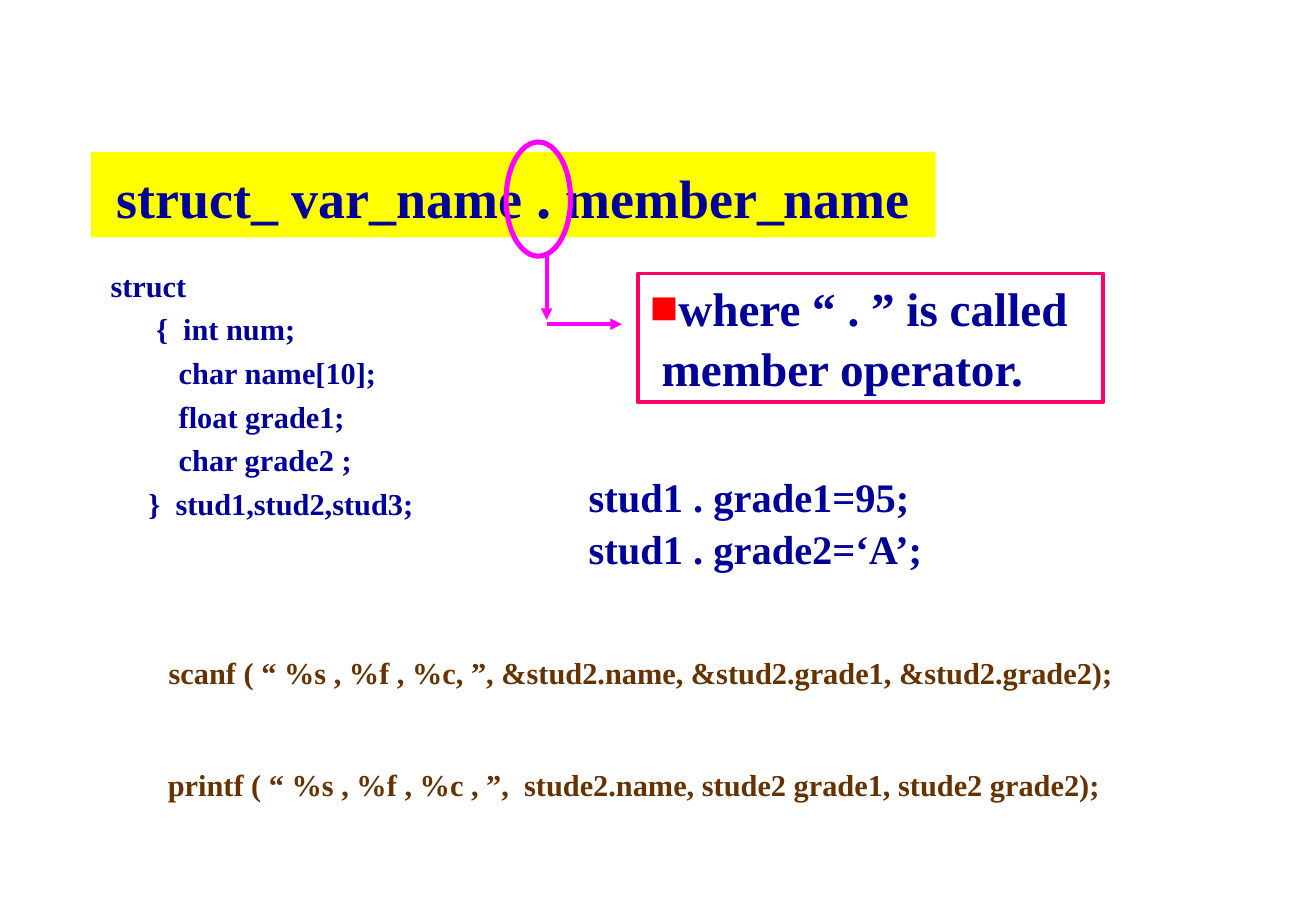
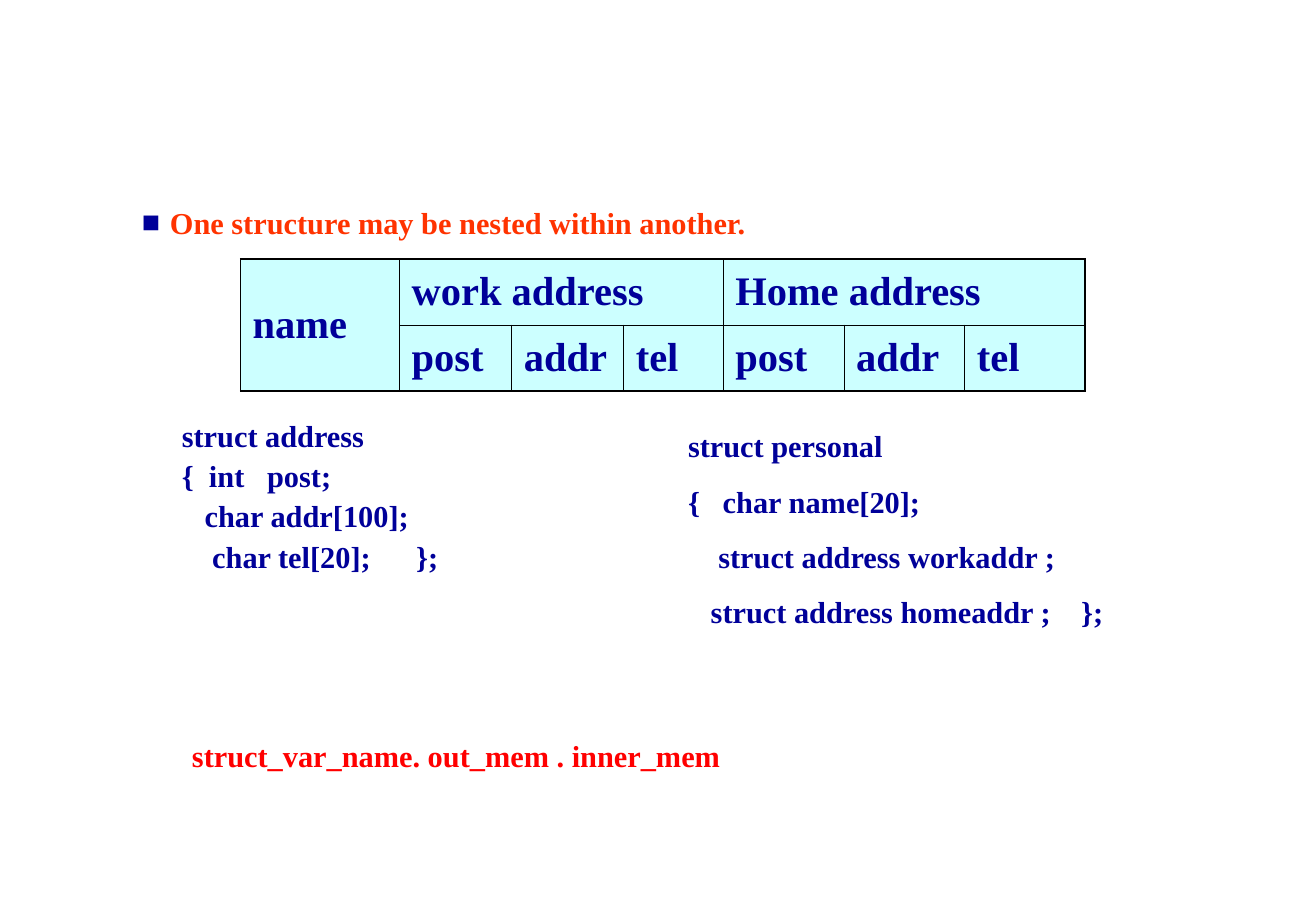
from dataclasses import dataclass

from lxml.etree import SubElement
from pptx import Presentation
from pptx.dml.color import RGBColor
from pptx.enum.shapes import MSO_CONNECTOR, MSO_SHAPE
from pptx.enum.text import MSO_ANCHOR, MSO_AUTO_SIZE, PP_ALIGN
from pptx.oxml.ns import qn
from pptx.util import Pt

FONT = "Times New Roman"
NAVY, BROWN, RED, ORANGE = "000099", "663300", "FF0000", "FF3300"
YELLOW, MAGENTA, PINK = "FFFF00", "FF00FF", "FF0066"
CYAN, BLACK = "CCFFFF", "000000"
TITLE_ONLY = 5


@dataclass
class Box:
    left: float
    top: float
    width: float
    height: float

    def lengths(self) -> tuple:
        return Pt(self.left), Pt(self.top), Pt(self.width), Pt(self.height)


@dataclass
class TextStyle:
    size: float = 18
    colour: str = NAVY
    align: PP_ALIGN = PP_ALIGN.LEFT
    before: float = 0
    line: float = 1.0


@dataclass
class TextBlock:
    box: Box
    lines: list[str]
    style: TextStyle


@dataclass
class TableLabel:
    text: str
    row: int
    column: int
    rows: int = 1
    columns: int = 1


@dataclass
class Arrow:
    start: tuple[float, float]
    end: tuple[float, float]


def rgb(colour: str) -> RGBColor:
    return RGBColor.from_string(colour)


def format_runs(paragraph, style: TextStyle) -> None:
    for run in paragraph.runs:
        run.font.name = FONT
        run.font.size = Pt(style.size)
        run.font.bold = True
        run.font.color.rgb = rgb(style.colour)


def write_lines(frame, lines: list[str], style: TextStyle) -> None:
    frame.word_wrap = True
    frame.auto_size = MSO_AUTO_SIZE.NONE
    frame.vertical_anchor = MSO_ANCHOR.TOP
    for index, line in enumerate(lines):
        paragraph = frame.add_paragraph() if index else frame.paragraphs[0]
        paragraph.text = line
        paragraph.alignment = style.align
        paragraph.line_spacing = style.line
        if index:
            paragraph.space_before = Pt(style.before)
        format_runs(paragraph, style)


def set_indent(paragraph, margin: float, first: float = 0):
    properties = paragraph._p.get_or_add_pPr()
    properties.set("marL", str(Pt(margin)))
    properties.set("indent", str(Pt(first)))
    return properties


def add_bullet(paragraph, colour: str, hang: float) -> None:
    properties = set_indent(paragraph, hang, -hang)
    colour_node = SubElement(properties, qn("a:buClr"))
    SubElement(colour_node, qn("a:srgbClr")).set("val", colour)
    SubElement(properties, qn("a:buFont")).set("typeface", FONT)
    SubElement(properties, qn("a:buChar")).set("char", "■")


def add_text(slide, block: TextBlock) -> None:
    text_box = slide.shapes.add_textbox(*block.box.lengths())
    write_lines(text_box.text_frame, block.lines, block.style)


def set_title(slide, block: TextBlock):
    title = slide.shapes.title
    title.left, title.top, title.width, title.height = block.box.lengths()
    write_lines(title.text_frame, block.lines, block.style)
    return title


def add_outline(slide, kind: MSO_SHAPE, box: Box, colour: str, width: float):
    outline = slide.shapes.add_shape(kind, *box.lengths())
    outline.shadow.inherit = False
    outline.fill.background()
    outline.line.color.rgb = rgb(colour)
    outline.line.width = Pt(width)
    return outline


def add_arrow(slide, arrow: Arrow) -> None:
    connector = slide.shapes.add_connector(
        MSO_CONNECTOR.STRAIGHT, *(Pt(value) for value in arrow.start + arrow.end))
    connector.line.color.rgb = rgb(MAGENTA)
    connector.line.width = Pt(2.25)
    line = connector._element.spPr.find(qn("a:ln"))
    SubElement(line, qn("a:tailEnd")).set("type", "triangle")
    SubElement(connector._element.spPr, qn("a:effectLst"))


def set_borders(cell, widths: dict[str, float]) -> None:
    properties = cell._tc.get_or_add_tcPr()
    for index, (side, width) in enumerate(widths.items()):
        border = SubElement(properties, qn(f"a:ln{side}"), w=str(Pt(width)))
        fill = SubElement(border, qn("a:solidFill"))
        SubElement(fill, qn("a:srgbClr")).set("val", BLACK)
        properties.insert(index, border)


def border_weight(outer: bool) -> float:
    return 1.08 if outer else 0.45


def add_record_table(slide, box: Box, widths: list[float],
                     labels: list[TableLabel]) -> None:
    row_count, column_count = 2, len(widths)
    table = slide.shapes.add_table(row_count, column_count, *box.lengths()).table
    table.first_row = table.horz_banding = False
    for column, width in zip(table.columns, widths):
        column.width = Pt(width)
    for row in table.rows:
        row.height = Pt(box.height / row_count)

    # Merge and fill in the headings
    for label in labels:
        cell = table.cell(label.row, label.column)
        if label.rows * label.columns > 1:
            cell.merge(table.cell(label.row + label.rows - 1,
                                  label.column + label.columns - 1))
        cell.text_frame.text = label.text
        format_runs(cell.text_frame.paragraphs[0], TextStyle(24))

    # Heavier lines around the outside
    for row in range(row_count):
        for column in range(column_count):
            cell = table.cell(row, column)
            cell.vertical_anchor = MSO_ANCHOR.MIDDLE
            cell.fill.solid()
            cell.fill.fore_color.rgb = rgb(CYAN)
            rows, columns = ((cell.span_height, cell.span_width)
                             if cell.is_merge_origin else (1, 1))
            set_borders(cell, {
                "L": border_weight(column == 0),
                "R": border_weight(column + columns == column_count),
                "T": border_weight(row == 0),
                "B": border_weight(row + rows == row_count),
            })


def build_member_operator(slide) -> None:
    # Syntax bar with a larger dot
    title = set_title(slide, TextBlock(
        Box(54, 90, 501, 50.7), [""], TextStyle(32, align=PP_ALIGN.CENTER)))
    title.fill.solid()
    title.fill.fore_color.rgb = rgb(YELLOW)
    title.text_frame.margin_top = Pt(3.8)
    syntax = title.text_frame.paragraphs[0]
    for part in ("struct_ var_name ", ".", " member_name"):
        syntax.add_run().text = part
    format_runs(syntax, TextStyle(32))
    syntax.runs[1].font.size = Pt(36)

    # Declaration, assignments and calls
    call = TextStyle(colour=BROWN, align=PP_ALIGN.CENTER)
    for block in (
        TextBlock(Box(54, 150.3, 321, 163), [
            " struct",
            "       {  int num;",
            "          char name[10];",
            "          float grade1;",
            "          char grade2 ;",
            "      }  stud1,stud2,stud3;",
        ], TextStyle(line=1.2)),
        TextBlock(Box(342, 276.5, 318, 75),
                  ["stud1 . grade1=95;", "stud1 . grade2=‘A’;"],
                  TextStyle(24, before=1.5)),
        TextBlock(Box(60, 384.4, 640, 29), [
            "scanf ( “ %s , %f , %c, ”, &stud2.name, &stud2.grade1, &stud2.grade2);",
        ], call),
        TextBlock(Box(54, 450.4, 644, 29), [
            "printf ( “ %s , %f , %c , ”,  stude2.name, stude2 grade1, stude2 grade2);",
        ], call),
    ):
        add_text(slide, block)

    # Explanation of the dot
    note = add_outline(slide, MSO_SHAPE.RECTANGLE,
                       Box(378.3, 162.2, 276, 76.3), PINK, 2.25)
    write_lines(note.text_frame, ["where “ . ” is called", "member operator."],
                TextStyle(28, before=1.8))
    called, operator = note.text_frame.paragraphs
    add_bullet(called, RED, 16)
    set_indent(operator, 7)

    # Ring around the dot and arrows to its explanation
    add_outline(slide, MSO_SHAPE.OVAL, Box(300.2, 84.2, 38.2, 67.7), MAGENTA, 3)
    for arrow in (Arrow((324.2, 150), (324.2, 189.6)),
                  Arrow((324.2, 192.2), (368.8, 192.2))):
        add_arrow(slide, arrow)


def build_nested_structures(slide) -> None:
    # Statement
    title = set_title(slide, TextBlock(
        Box(77, 117.4, 692, 29), ["One structure may be nested within another."],
        TextStyle(colour=ORANGE)))
    add_bullet(title.text_frame.paragraphs[0], NAVY, 16.6)

    # Record layout: each address has the same three members
    labels = [TableLabel("name", 0, 0, rows=2)]
    for column, address in ((1, "work address"), (4, "Home address")):
        labels.append(TableLabel(address, 0, column, columns=3))
        labels += [TableLabel(member, 1, column + offset)
                   for offset, member in enumerate(("post", "addr", "tel"))]
    add_record_table(slide, Box(142.7, 153.5, 500.8, 78.2),
                     [94.3, 66.5, 66.5, 59, 71.6, 71.7, 71.2], labels)

    # Declarations and access syntax
    for block in (
        TextBlock(Box(100.8, 243.8, 318, 101), [
            "struct address",
            "{  int   post;",
            "   char addr[100];",
            "    char tel[20];      };",
        ], TextStyle(before=2.2)),
        TextBlock(Box(401, 249.8, 369, 127), [
            "struct personal",
            "{   char name[20];",
            "    struct address workaddr ;",
            "   struct address homeaddr ;    };",
        ], TextStyle(before=11.2)),
        TextBlock(Box(106.8, 435.6, 468, 26.6),
                  ["struct_var_name. out_mem . inner_mem"],
                  TextStyle(colour=RED, line=0.9)),
    ):
        add_text(slide, block)


def main() -> None:
    deck = Presentation()
    deck.slide_width = Pt(780.48)
    deck.slide_height = Pt(540)
    layout = deck.slide_layouts[TITLE_ONLY]
    build_member_operator(deck.slides.add_slide(layout))
    build_nested_structures(deck.slides.add_slide(layout))
    deck.save("out.pptx")


if __name__ == "__main__":
    main()
